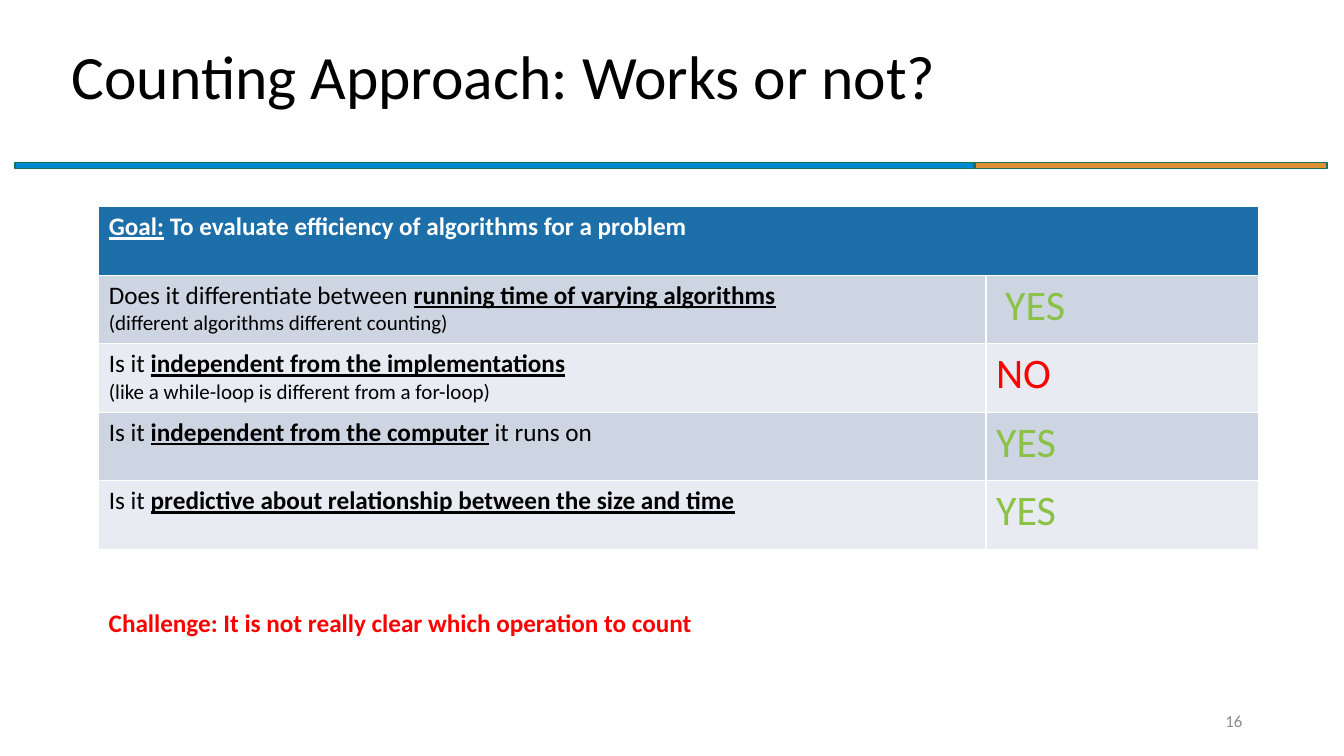
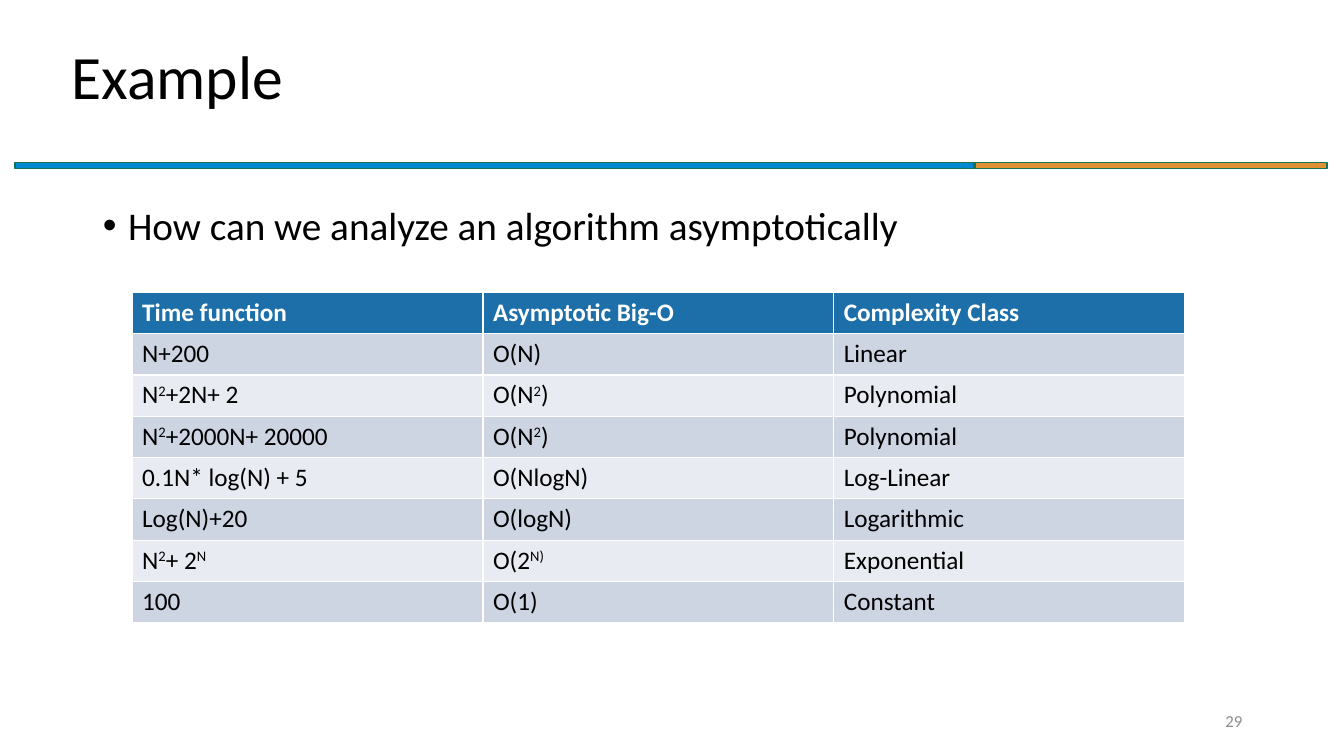
from pptx import Presentation
from pptx.dml.color import RGBColor
from pptx.enum.shapes import MSO_SHAPE
from pptx.enum.text import MSO_ANCHOR, MSO_AUTO_SIZE, PP_ALIGN
from pptx.util import Inches, Pt

FONT = "Calibri"
BLACK, WHITE, RED, GREEN, GRAY = "000000", "FFFFFF", "FF0000", "8BC145", "8C8C8C"
HEADER_FILL, ROW_FILLS = "1D6FA9", ("CDD5E2", "E8EBF1")
BAND_LINE = "157259"
BANDS = [(0.15, 9.51, "0088D1"), (9.67, 3.49, "E09134")]

KEY, SUP = "key", "sup"
ANSWERS = {"YES": GREEN, "NO": RED}

GOAL = [("Goal:", KEY), " To evaluate efficiency of algorithms for a problem"]
QUESTIONS = [
    (["Does it differentiate between ", ("running time of varying algorithms", KEY)],
     "(different algorithms different counting)", "YES"),
    (["Is it ", ("independent from the implementations", KEY)],
     "(like a while-loop is different from a for-loop)", "NO"),
    (["Is it ", ("independent from the computer", KEY), " it runs on"], None, "YES"),
    (["Is it ", ("predictive about relationship between the size and time", KEY)],
     None, "YES"),
]
CHALLENGE = "Challenge: It is not really clear which operation to count"

BULLET = "How can we analyze an algorithm asymptotically"
HEADINGS = ["Time function", "Asymptotic Big-O", "Complexity Class"]
SQUARE = ("2", SUP)
FUNCTIONS = [
    (["N+200"], ["O(N)"], ["Linear"]),
    (["N", SQUARE, "+2N+ 2"], ["O(N", SQUARE, ")"], ["Polynomial"]),
    (["N", SQUARE, "+2000N+ 20000"], ["O(N", SQUARE, ")"], ["Polynomial"]),
    (["0.1N* log(N) + 5"], ["O(NlogN)"], ["Log-Linear"]),
    (["Log(N)+20"], ["O(logN)"], ["Logarithmic"]),
    (["N", SQUARE, "+ 2", ("N", SUP)], ["O(2", ("N)", SUP)], ["Exponential"]),
    (["100"], ["O(1)"], ["Constant"]),
]


def rgb(value):
    return RGBColor.from_string(value)


def place(sp, left, top, width, height):
    sp.left, sp.top = Inches(left), Inches(top)
    sp.width, sp.height = Inches(width), Inches(height)


def write(p, parts, size, color=BLACK, bold=False):
    p.font.name, p.font.size, p.font.bold = FONT, Pt(size), bold
    p.font.color.rgb = rgb(color)
    for part in parts:
        text, style = (part, None) if isinstance(part, str) else part
        r = p.add_run()
        r.text = text
        r.font.name, r.font.size = FONT, Pt(size)
        r.font.color.rgb = rgb(color)
        r.font.bold = bold or style == KEY
        if style == KEY:
            r.font.underline = True
        elif style == SUP:
            r._r.get_or_add_rPr().set("baseline", "30000")


def add_text(s, box, text, size, color, bold=False):
    tf = s.shapes.add_textbox(*map(Inches, box)).text_frame
    tf.word_wrap = True
    write(tf.paragraphs[0], [text], size, color, bold)
    return tf


def add_slide(layout, title, number):
    s = prs.slides.add_slide(prs.slide_layouts[layout])
    place(s.shapes.title, 0.61, 0.06, 11.5, 1.45)
    tf = s.shapes.title.text_frame
    tf.auto_size = MSO_AUTO_SIZE.NONE
    tf.vertical_anchor = MSO_ANCHOR.MIDDLE
    p = tf.paragraphs[0]
    p.alignment, p.line_spacing = PP_ALIGN.LEFT, 0.9
    write(p, [title], 44)
    for left, width, fill in BANDS:
        sp = s.shapes.add_shape(MSO_SHAPE.RECTANGLE, Inches(left), Inches(1.61),
                                Inches(width), Inches(0.06))
        sp.shadow.inherit = False
        sp.fill.solid()
        sp.fill.fore_color.rgb = rgb(fill)
        sp.line.color.rgb = rgb(BAND_LINE)
        sp.line.width = Pt(1)
    tf = add_text(s, (9.42, 6.95, 3, 0.4), number, 12, GRAY)
    tf.vertical_anchor = MSO_ANCHOR.MIDDLE
    tf.paragraphs[0].alignment = PP_ALIGN.RIGHT
    return s


def add_table(s, left, top, widths, rows, row_height):
    table = s.shapes.add_table(rows, len(widths), Inches(left), Inches(top),
                               Inches(sum(widths)), Inches(rows * row_height)).table
    for column, width in zip(table.columns, widths):
        column.width = Inches(width)
    for i, row in enumerate(table.rows):
        row.height = Inches(row_height)
        for cell in row.cells:
            cell.fill.solid()
            cell.fill.fore_color.rgb = rgb(ROW_FILLS[(i - 1) % 2] if i else HEADER_FILL)
    return table


def write_cell(cell, parts, size=18, color=BLACK, bold=False):
    write(cell.text_frame.paragraphs[0], parts, size, color, bold)


prs = Presentation()
prs.slide_width, prs.slide_height = Inches(13.33), Inches(7.5)

s = add_slide(5, "Counting Approach: Works or not?", "16")
table = add_table(s, 0.98, 2.05, (8.8, 2.7), len(QUESTIONS) + 1, 0.68)
table.cell(0, 0).merge(table.cell(0, 1))
write_cell(table.cell(0, 0), GOAL, color=WHITE, bold=True)
for i, (question, remark, answer) in enumerate(QUESTIONS, 1):
    write_cell(table.cell(i, 0), question)
    if remark:
        write(table.cell(i, 0).text_frame.add_paragraph(), [remark], 15)
    write_cell(table.cell(i, 1), [answer], 30, ANSWERS[answer])
table.cell(1, 1).margin_left = Inches(0.19)
add_text(s, (0.98, 5.98, 7.54, 0.4), CHALLENGE, 18, RED, True)

s = add_slide(1, "Example", "29")
body = s.placeholders[1]
place(body, 0.92, 2, 11.5, 4.76)
body.text_frame.auto_size = MSO_AUTO_SIZE.NONE
p = body.text_frame.paragraphs[0]
p.line_spacing, p.space_before = 0.9, Pt(10)
pPr = p._p.get_or_add_pPr()
pPr.set("marL", str(Inches(0.25)))
pPr.set("indent", str(Inches(-0.25)))
write(p, [BULLET], 28)
table = add_table(s, 1.31, 2.9, (3.48,) * 3, len(FUNCTIONS) + 1, 0.41)
for j, heading in enumerate(HEADINGS):
    write_cell(table.cell(0, j), [heading], color=WHITE, bold=True)
for i, row in enumerate(FUNCTIONS, 1):
    for j, parts in enumerate(row):
        write_cell(table.cell(i, j), parts)

prs.save("out.pptx")
